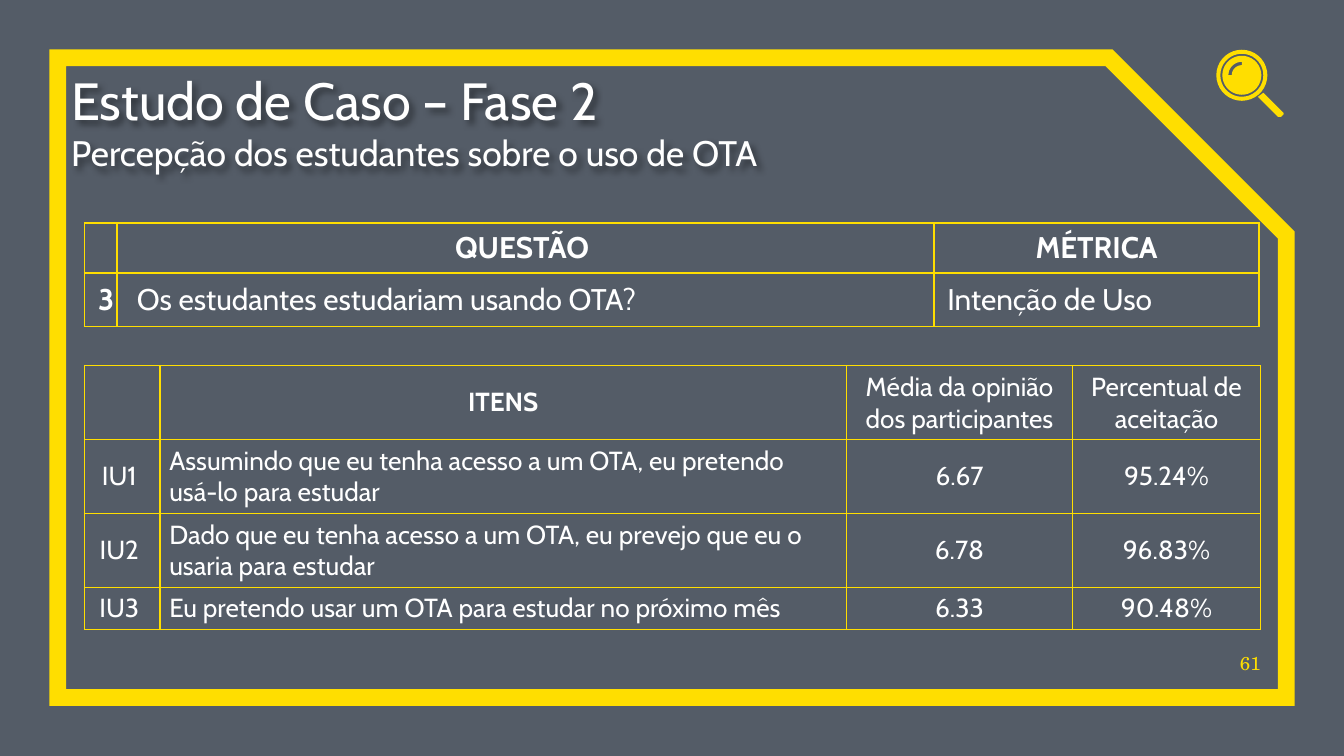
from math import cos, radians, sin

from lxml import etree
from pptx import Presentation
from pptx.dml.color import RGBColor
from pptx.enum.shapes import MSO_SHAPE
from pptx.enum.text import MSO_ANCHOR, PP_ALIGN
from pptx.oxml import parse_xml
from pptx.oxml.ns import nsdecls, qn
from pptx.util import Inches, Pt

LEFT, CENTER, RIGHT = PP_ALIGN.LEFT, PP_ALIGN.CENTER, PP_ALIGN.RIGHT
MIDDLE, BOTTOM = MSO_ANCHOR.MIDDLE, MSO_ANCHOR.BOTTOM
YELLOW, WHITE, NAVY = "FFDE00", "FFFFFF", "040F20"
WIDTH = Inches(10)
HEIGHT = WIDTH * 9 // 16

# Content
TITLE = "Estudo de Caso – Fase 2"
SUBTITLE = "Percepção dos estudantes sobre o uso de OTA"
PAGE_NUMBER = "61"
QUESTION_ROWS = [
    ["", "QUESTÃO ", "MÉTRICA"],
    ["3", " Os estudantes estudariam usando OTA?", "Intenção de Uso"],
]
ITEM_ROWS = [
    ["", "ITENS", "Média da opinião\ndos participantes", "Percentual de\naceitação"],
    ["IU1 ", "Assumindo que eu tenha acesso a um OTA, eu pretendo usá-lo para estudar",
     "6.67", "95.24%"],
    ["IU2 ", "Dado que eu tenha acesso a um OTA, eu prevejo que eu o usaria para estudar",
     "6.78", "96.83%"],
    ["IU3 ", "Eu pretendo usar um OTA para estudar no próximo mês", "6.33", "90.48%"],
]
BOLD_TEXTS = {"QUESTÃO ", "MÉTRICA", "3", "ITENS"}
LEFT_TEXTS = {row[1] for row in QUESTION_ROWS[1:] + ITEM_ROWS[1:]} | {"Intenção de Uso"}

# Magnifier geometry, in inches
LENS_X, LENS_Y = 9.24, 0.56
HANDLE = [(9.4, 0.69), (9.36, 0.72), (9.51, 0.87), (9.53, 0.87), (9.55, 0.85), (9.55, 0.84)]


def color(hex_text):
    return RGBColor.from_string(hex_text)


def write(frame, text, size=14, font="Cabin", fill=WHITE, bold=False, align=LEFT, new=False):
    for number, line in enumerate(text.split("\n")):
        paragraph = frame.add_paragraph() if new or number else frame.paragraphs[0]
        paragraph.alignment = align
        run = paragraph.add_run()
        run.text = line
        run.font.size, run.font.name, run.font.bold = Pt(size), font, bold
        run.font.color.rgb = color(fill)


def add_text_area(left, top, width, height):
    box = slide.shapes.add_textbox(Inches(left), Inches(top), Inches(width), Inches(height))
    frame = box.text_frame
    frame.word_wrap, frame.vertical_anchor = True, BOTTOM
    frame.margin_left = frame.margin_right = frame.margin_top = frame.margin_bottom = 0
    return box


def style(shape, fill=None):
    shape.shadow.inherit = False
    shape.line.fill.background()
    if fill:
        shape.fill.solid()
        shape.fill.fore_color.rgb = color(fill)
    else:
        shape.fill.background()
    return shape


def arc(radius, start, end, step=10):
    return [(LENS_X + radius * cos(radians(a)), LENS_Y + radius * sin(radians(a)))
            for a in range(start, end, step)]


def add_outline(*contours):
    contours = [[(Inches(x), Inches(y)) for x, y in contour] for contour in contours]
    builder = slide.shapes.build_freeform(*contours[0][0])
    for number, contour in enumerate(contours):
        if number:
            builder.move_to(*contour[0])
        builder.add_line_segments(contour[1:], close=True)
    style(builder.convert_to_shape(), YELLOW)


def border(cell):
    properties = cell._tc.get_or_add_tcPr()
    for index, side in enumerate(("lnL", "lnR", "lnT", "lnB")):
        properties.insert(index, parse_xml(
            f'<a:{side} {nsdecls("a")} w="{Pt(1)}"><a:solidFill>'
            f'<a:srgbClr val="{YELLOW}"/></a:solidFill></a:{side}>'))


def add_grid(rows, left, top, widths, heights, size, inset_x, inset_y):
    table = slide.shapes.add_table(
        len(rows), len(widths), Inches(left), Inches(top),
        Inches(sum(widths)), Inches(sum(heights))).table
    table.first_row = table.horz_banding = False
    for column, width in zip(table.columns, widths):
        column.width = Inches(width)
    for table_row, height, texts in zip(table.rows, heights, rows):
        table_row.height = Inches(height)
        for cell, text in zip(table_row.cells, texts):
            cell.fill.background()
            cell.vertical_anchor = MIDDLE
            cell.margin_left = cell.margin_right = Inches(inset_x)
            # An empty cell must not stretch its row
            cell.margin_top = cell.margin_bottom = Inches(inset_y if text else 0)
            if text:
                write(cell.text_frame, text, size=size, bold=text in BOLD_TEXTS,
                      align=LEFT if text in LEFT_TEXTS else CENTER)
            border(cell)


presentation = Presentation()
presentation.slide_width, presentation.slide_height = WIDTH, HEIGHT
slide = presentation.slides.add_slide(presentation.slide_layouts[6])

# Translucent backdrop and snipped frame
backdrop = style(slide.shapes.add_shape(MSO_SHAPE.RECTANGLE, 0, 0, WIDTH, HEIGHT), NAVY)
tint = backdrop.fill._xPr.find(".//" + qn("a:srgbClr"))
etree.SubElement(tint, qn("a:alpha")).set("val", "68000")
border_frame = style(slide.shapes.add_shape(
    MSO_SHAPE.SNIP_1_RECTANGLE, Inches(0.43), Inches(0.43), Inches(9.14), Inches(4.76)))
border_frame.adjustments[0] = 0.277
border_frame.line.color.rgb = color(YELLOW)
border_frame.line.width = Pt(9)
etree.SubElement(border_frame.line._ln, qn("a:miter")).set("lim", "800000")

# Page number
write(add_text_area(9.11, 4.74, 0.27, 0.28).text_frame, PAGE_NUMBER,
      size=10, font="TeX Gyre Schola", fill=YELLOW, align=RIGHT)

# Magnifier: rim, lens with a cut-out glare, handle
add_outline(arc(0.19, 0, 360), arc(0.16, 0, 360))
add_outline(arc(0.145, 0, 360), arc(0.1, 180, 271) + arc(0.075, 180, 271)[::-1])
add_outline(HANDLE)

# Title with soft shadow
heading = add_text_area(0.53, 0.54, 8.41, 0.75)
write(heading.text_frame, TITLE, size=28)
write(heading.text_frame, SUBTITLE, size=19, new=True)
heading._element.spPr.append(parse_xml(
    f'<a:effectLst {nsdecls("a")}><a:outerShdw blurRad="{Pt(3)}" dist="{Pt(3)}" dir="2700000">'
    '<a:srgbClr val="000000"><a:alpha val="43000"/></a:srgbClr></a:outerShdw></a:effectLst>'))

# Tables
add_grid(QUESTION_ROWS, 0.63, 1.66, [0.24, 6.08, 2.42], [0.37, 0.4], 16, 0.1, 0.05)
add_grid(ITEM_ROWS, 0.63, 2.72, [0.56, 5.11, 1.68, 1.4], [0.55, 0.55, 0.55, 0.31], 14, 0.07, 0.04)

presentation.save("out.pptx")
